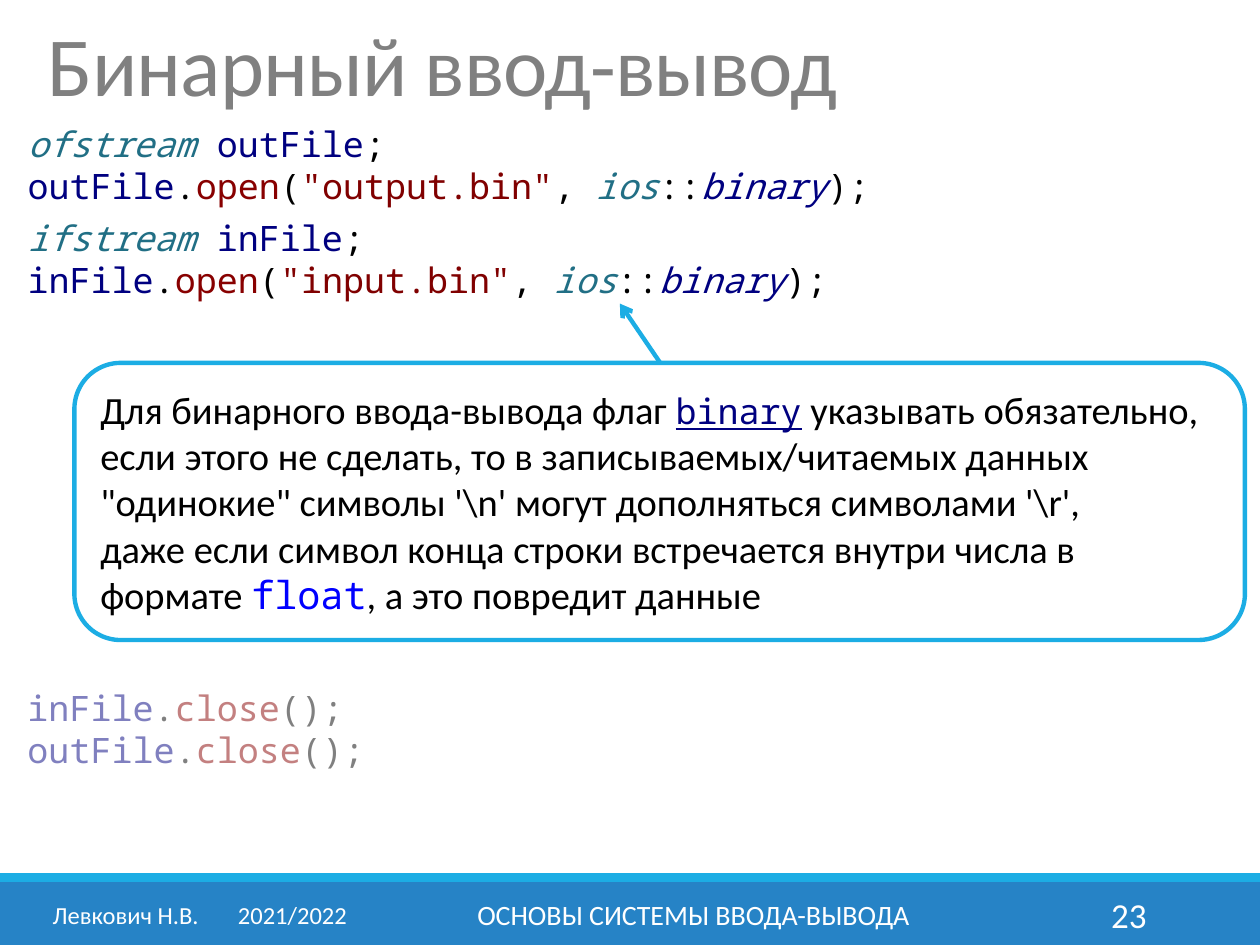
from typing import NamedTuple

from lxml import etree
from pptx import Presentation
from pptx import util as u
from pptx.dml.color import RGBColor
from pptx.enum import shapes, text
from pptx.oxml.ns import qn

WIDTH, HEIGHT = u.Inches(10), u.Inches(7.5)
SANS, MONO = "Calibri", "Noto Sans Mono"
BLACK, WHITE, GRAY = "000000", "FFFFFF", "808080"
BLUE, CYAN = "2683C6", "1CADE4"
TYPE, NAME, CALL, STRING, KEYWORD = "216F85", "000080", "880000", "800000", "0000FF"


class Area(NamedTuple):
    """Left, top, width and height in percent of the slide."""
    left: float
    top: float
    width: float
    height: float

    def emu(self) -> tuple:
        sides = (WIDTH, HEIGHT, WIDTH, HEIGHT)
        return tuple(u.Emu(round(share * side / 100)) for share, side in zip(self, sides))


class Span(NamedTuple):
    text: str
    color: str = BLACK
    italic: bool = False
    font: str = MONO
    size: float = 20
    underline: bool = False


class Footer(NamedTuple):
    area: Area
    text: str
    size: float
    align: text.PP_ALIGN


FOOTERS = [
    Footer(Area(3.2, 94.13, 26.1, 5.33), "Левкович Н.В.\t2021/2022", 14, text.PP_ALIGN.LEFT),
    Footer(Area(30.2, 94.13, 49.7, 5.33), "ОСНОВЫ СИСТЕМЫ ВВОДА-ВЫВОДА", 16, text.PP_ALIGN.CENTER),
    Footer(Area(81.2, 94.13, 10.8, 5.33), "23", 20, text.PP_ALIGN.RIGHT),
]


def rgb(color: str) -> RGBColor:
    return RGBColor.from_string(color)


def add_run(paragraph, content: str, *, color=BLACK, italic=False, font=SANS,
            size=22, underline=False):
    run = paragraph.add_run()
    run.text = content
    run.font.name, run.font.size = font, u.Pt(size)
    run.font.italic, run.font.underline = italic, underline
    run.font.color.rgb = rgb(color)
    return run


def write(shape, lines: list[list[Span]], *, align=text.PP_ALIGN.LEFT,
          anchor=text.MSO_ANCHOR.TOP, space_before: dict[int, float] | None = None) -> None:
    """Fill a shape with one paragraph per line; a newline span is a line break."""
    frame = shape.text_frame
    frame.word_wrap = True
    frame.auto_size = text.MSO_AUTO_SIZE.NONE
    frame.vertical_anchor = anchor
    for index, line in enumerate(lines):
        paragraph = frame.add_paragraph() if index else frame.paragraphs[0]
        paragraph.alignment = align
        paragraph.space_before = u.Pt((space_before or {}).get(index, 0))
        for span in line:
            if span.text == "\n":
                paragraph.add_line_break()
            else:
                add_run(paragraph, span.text, **{k: v for k, v in span._asdict().items()
                                                 if k != "text"})


def add_box(slide, area: Area, fill: str, *, kind=shapes.MSO_SHAPE.RECTANGLE,
            line: str | None = None, opacity: int = 100):
    shape = slide.shapes.add_shape(kind, *area.emu())
    shape.shadow.inherit = False
    shape.fill.solid()
    shape.fill.fore_color.rgb = rgb(fill)
    if opacity < 100:
        color = shape.fill._xPr.find(".//" + qn("a:srgbClr"))
        etree.SubElement(color, qn("a:alpha"), val=str(opacity * 1000))
    if line:
        shape.line.color.rgb, shape.line.width = rgb(line), u.Pt(2.5)
    else:
        shape.line.fill.background()
    return shape


def add_arrow(slide, start: tuple[float, float], end: tuple[float, float]) -> None:
    points = Area(*start, *end).emu()
    arrow = slide.shapes.add_connector(shapes.MSO_CONNECTOR.STRAIGHT, *points)
    arrow.line.color.rgb, arrow.line.width = rgb(CYAN), u.Pt(2.5)
    etree.SubElement(arrow.line._get_or_add_ln(), qn("a:tailEnd"), type="arrow")
    etree.SubElement(arrow._element.spPr, qn("a:effectLst"))


def declare(stream: str, variable: str) -> list[Span]:
    return [Span(stream, TYPE, True), Span(" "), Span(variable, NAME), Span(";")]


def open_call(variable: str, file_name: str) -> list[Span]:
    return [Span(variable, NAME), Span("."), Span("open", CALL), Span("("),
            Span(f'"{file_name}"', STRING), Span(", "), Span("ios", TYPE, True),
            Span("::"), Span("binary", NAME, True), Span(");")]


def close_call(variable: str) -> list[Span]:
    return [Span(variable, NAME), Span("."), Span("close", CALL), Span("();")]


def prose(content: str) -> Span:
    return Span(content, font=SANS, size=22)


def add_title(slide, content: str) -> None:
    title = slide.shapes.title
    title.left, title.top, title.width, title.height = Area(2.8, 1.73, 65, 11.6).emu()
    write(title, [[]], anchor=text.MSO_ANCHOR.MIDDLE)
    paragraph = title.text_frame.paragraphs[0]
    paragraph.line_spacing = 0.85
    run = add_run(paragraph, content, color=GRAY, size=48)
    run.font._element.set("spc", "-50")


def add_footer(slide, footer: Footer) -> None:
    box = slide.shapes.add_textbox(*footer.area.emu())
    write(box, [[Span(footer.text, WHITE, font=SANS, size=footer.size)]],
          align=footer.align, anchor=text.MSO_ANCHOR.MIDDLE)
    if "\t" in footer.text:
        properties = box.text_frame.paragraphs[0]._p.get_or_add_pPr()
        tabs = etree.SubElement(properties, qn("a:tabLst"))
        etree.SubElement(tabs, qn("a:tab"), pos=str(u.Inches(1.47)), algn="l")


def main() -> None:
    presentation = Presentation()
    presentation.slide_width, presentation.slide_height = WIDTH, HEIGHT
    slide = presentation.slides.add_slide(presentation.slide_layouts[5])

    add_box(slide, Area(0, 93.33, 100, 6.67), BLUE)
    add_box(slide, Area(0, 92.4, 100, 0.93), CYAN)
    add_title(slide, "Бинарный ввод-вывод")

    opening = slide.shapes.add_textbox(*Area(1.2, 12.27, 96.1, 20.4).emu())
    write(opening, [declare("ofstream", "outFile"), open_call("outFile", "output.bin"),
                    declare("ifstream", "inFile"), open_call("inFile", "input.bin")],
          space_before={2: 6})
    closing = slide.shapes.add_textbox(*Area(1.2, 72, 93.7, 10.27).emu())
    write(closing, [close_call("inFile"), close_call("outFile")],
          align=text.PP_ALIGN.JUSTIFY)
    add_box(slide, Area(2, 63.6, 63, 24.13)._replace(), WHITE, opacity=50)

    callout = add_box(slide, Area(5.9, 38.4, 92.9, 29.33), WHITE,
                      kind=shapes.MSO_SHAPE.ROUNDED_RECTANGLE, line=CYAN)
    write(callout, [
        [prose("Для бинарного ввода-вывода флаг "), Span("binary", NAME, underline=True),
         prose(" указывать обязательно,"), prose("\n"),
         prose("если этого не сделать, то в записываемых/читаемых данных \"одинокие\" "
               "символы '\\n' могут дополняться символами '\\r',")],
        [prose("даже если символ конца строки встречается внутри числа в формате "),
         Span("float", KEYWORD, size=22), prose(", а это повредит данные")],
    ], anchor=text.MSO_ANCHOR.MIDDLE)
    add_arrow(slide, (52.4, 38.4), (49.2, 32.13))

    for footer in FOOTERS:
        add_footer(slide, footer)
    presentation.save("out.pptx")


if __name__ == "__main__":
    main()
